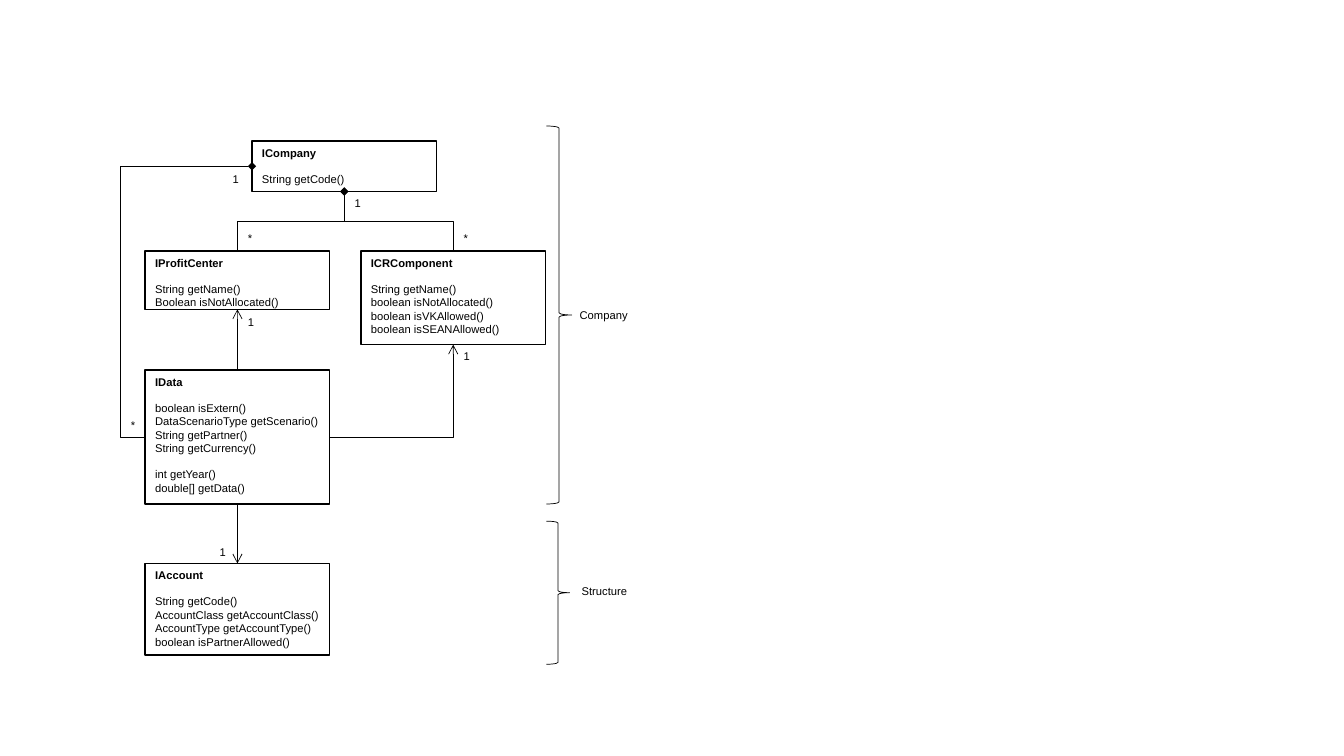
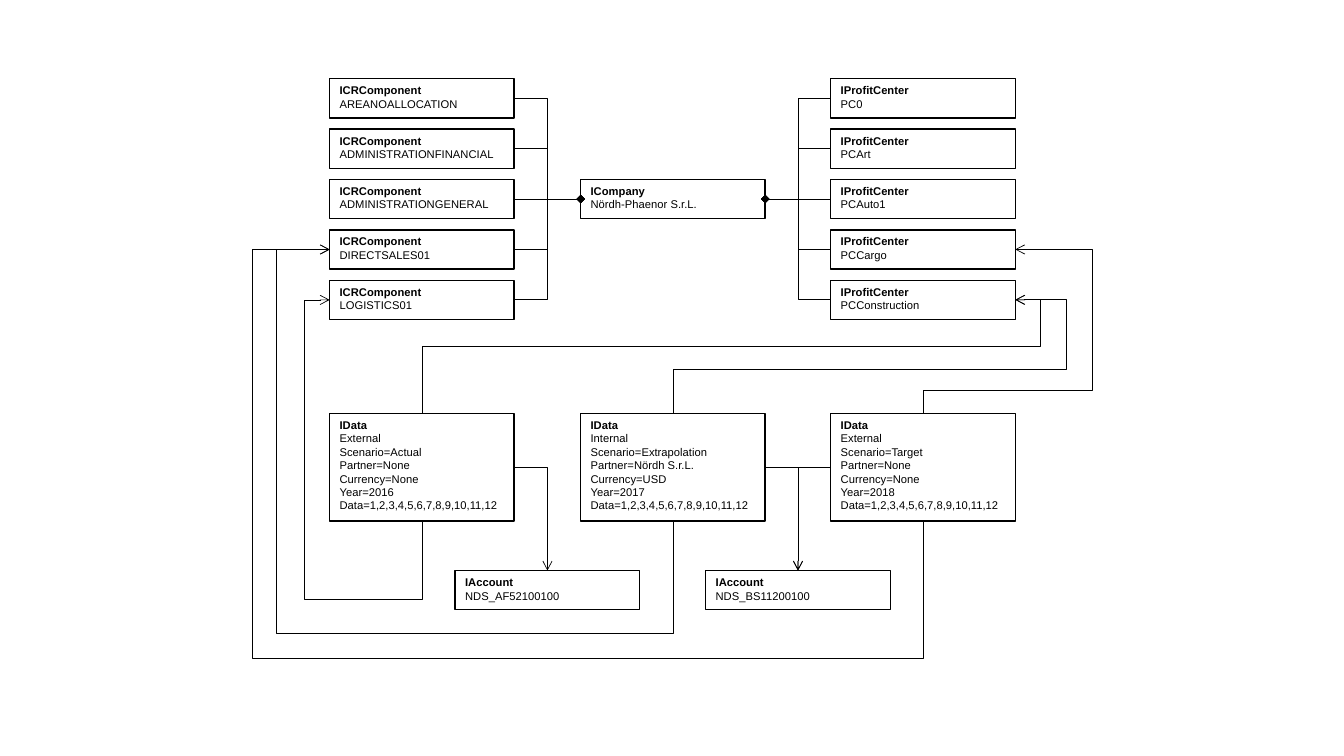
import pptx
import pptx.dml.color
import pptx.enum.shapes
import pptx.enum.text
import pptx.oxml.ns
import pptx.util
from lxml import etree

Inches, Pt = pptx.util.Inches, pptx.util.Pt
qn = pptx.oxml.ns.qn
SHAPE = pptx.enum.shapes.MSO_SHAPE
LINK = pptx.enum.shapes.MSO_CONNECTOR
INK, PAPER = "000000", "FFFFFF"
FONT = {"name": "Arial", "size": Pt(8)}
GAP = Pt(9.2)  # one line of text
WIDE = 1.83
TOP, LEFT, LOW, RIGHT = range(4)


def paint(fill, color):
    fill.solid()
    fill.fore_color.rgb = pptx.dml.color.RGBColor.from_string(color)


def stroke(line, width):
    paint(line.fill, INK)
    line.width = Pt(width)


def style(para, bold=False):
    para.alignment = pptx.enum.text.PP_ALIGN.LEFT
    for name, value in {**FONT, "bold": bold}.items():
        setattr(para.font, name, value)
    paint(para.font.fill, INK)


def box(slide, x, y, high, text):
    """Class box: bold first line; a blank line in text opens a gap."""
    shape = slide.shapes.add_shape(
        SHAPE.RECTANGLE, *map(Inches, (x, y, WIDE, high)))
    shape.shadow.inherit = False
    paint(shape.fill, PAPER)
    stroke(shape.line, 1)
    frame = shape.text_frame
    frame.word_wrap = True
    frame.vertical_anchor = pptx.enum.text.MSO_ANCHOR.TOP
    para = None
    for group in text.split("\n\n"):
        for row, line in enumerate(group.split("\n")):
            first = para is None
            para = frame.paragraphs[0] if first else frame.add_paragraph()
            para.text = line
            style(para, first)
            if row == 0 and not first:
                para.space_before = GAP
    return shape


def label(slide, x, y, wide, text):
    shape = slide.shapes.add_textbox(*map(Inches, (x, y, wide, 0.24)))
    frame = shape.text_frame
    frame.word_wrap = False
    frame.auto_size = pptx.enum.text.MSO_AUTO_SIZE.SHAPE_TO_FIT_TEXT
    frame.text = text
    style(frame.paragraphs[0])


def brace(slide, y, wide, high):
    shape = slide.shapes.add_shape(
        SHAPE.RIGHT_BRACE, *map(Inches, (5.42, y, wide, high)))
    shape.shadow.inherit = False
    shape.fill.background()
    stroke(shape.line, 0.5)


def bend(link, side, turns):
    """Shape an elbow; turns are the places, in turn, where it changes way."""
    x, y, end_x, end_y = link.begin_x, link.begin_y, link.end_x, link.end_y
    dx, dy = end_x - x, end_y - y
    spans = [(x, dx), (y, dy)]
    props = link.element.spPr
    if side in (TOP, LOW):
        spans.reverse()
        mid_x, mid_y = (x + end_x) / 2, (y + end_y) / 2
        link.begin_x, link.begin_y = mid_x - dy / 2, mid_y + dx / 2
        link.end_x, link.end_y = mid_x + dy / 2, mid_y - dx / 2
        props.find(qn("a:xfrm")).set("rot", str(90 * 60000))
    geom = props.find(qn("a:prstGeom"))
    geom.set("prst", f"bentConnector{len(turns) + 2}")
    for num, (turn, (start, span)) in enumerate(zip(turns, spans), 1):
        part = 0.5 if turn == "mid" else (Inches(turn) - start) / span
        etree.SubElement(geom.find(qn("a:avLst")), qn("a:gd"),
                         name=f"adj{num}", fmla=f"val {round(part * 100000)}")


def join(slide, src, side, dest, end, tip="arrow", turns=None):
    """Link two box sides: straight, or an elbow if turns are given."""
    kind = LINK.STRAIGHT if turns is None else LINK.ELBOW
    link = slide.shapes.add_connector(kind, 0, 0, 0, 0)
    link.begin_connect(src, side)
    link.end_connect(dest, end)
    if turns is not None:
        bend(link, side, turns)
    stroke(link.line, 0.5)
    props = link.element.spPr
    etree.SubElement(props.find(qn("a:ln")), qn("a:tailEnd"), type=tip)
    etree.SubElement(props, qn("a:effectLst"))


def model(slide):
    firm = box(slide, 2.5, 1.4, 0.5, "ICompany\n\nString getCode()")
    profit = box(slide, 1.44, 2.49, 0.58,
                 "IProfitCenter\n\nString getName()\nBoolean isNotAllocated()")
    comp = box(slide, 3.58, 2.49, 0.93,
               "ICRComponent\n\nString getName()\nboolean isNotAllocated()\n"
               "boolean isVKAllowed()\nboolean isSEANAllowed()")
    account = box(slide, 1.44, 5.59, 0.91,
                  "IAccount\n\nString getCode()\n"
                  "AccountClass getAccountClass()\n"
                  "AccountType getAccountType()\nboolean isPartnerAllowed()")
    data = box(slide, 1.44, 3.67, 1.33,
               "IData\n\nboolean isExtern()\nDataScenarioType getScenario()\n"
               "String getPartner()\nString getCurrency()\n\n"
               "int getYear()\ndouble[] getData()")
    for part in (profit, comp):
        join(slide, part, TOP, firm, LOW, "diamond", ["mid"])
    join(slide, data, LEFT, firm, LEFT, "diamond", [1.19])
    join(slide, data, RIGHT, comp, LOW, turns=[])
    join(slide, data, TOP, profit, LOW)
    join(slide, data, LOW, account, TOP)
    for x, y in ((2.21, 1.66), (3.42, 1.9), (2.36, 3.08), (2.08, 5.36),
                 (4.5, 3.42)):
        label(slide, x, y, 0.27, "1")
    for x, y in ((1.2, 4.1), (4.5, 2.25), (2.36, 2.25)):
        label(slide, x, y, 0.25, "*")
    brace(slide, 1.25, 0.25, 3.75)
    brace(slide, 5.17, 0.23, 1.42)
    label(slide, 5.65, 3.01, 0.68, "Company")
    label(slide, 5.67, 5.75, 0.66, "Structure")


def sample(slide):
    cols, low = (3.27, 5.76, 8.24), 0.39
    firm = box(slide, cols[1], 1.78, low, "ICompany\nNördh-Phaenor S.r.L.")

    def stack(x, kind, names, side, end):
        parts = []
        for row, name in enumerate(names):
            part = box(slide, x, 0.78 + 0.5 * row, low, f"{kind}\n{name}")
            join(slide, part, side, firm, end, "diamond",
                 None if row == 2 else ["mid"])
            parts.append(part)
        return parts

    comps = stack(cols[0], "ICRComponent",
                  ("AREANOALLOCATION", "ADMINISTRATIONFINANCIAL",
                   "ADMINISTRATIONGENERAL", "DIRECTSALES01", "LOGISTICS01"),
                  RIGHT, LEFT)
    profits = stack(cols[2], "IProfitCenter",
                    ("PC0", "PCArt", "PCAuto1", "PCCargo", "PCConstruction"),
                    LEFT, RIGHT)
    accounts = [box(slide, (a + b) / 2, 5.66, low, f"IAccount\n{code}")
                for a, b, code in zip(cols, cols[1:],
                                      ("NDS_AF52100100", "NDS_BS11200100"))]
    facts = (("External", "Actual", "None", "None", 2016),
             ("Internal", "Extrapolation", "Nördh S.r.L.", "USD", 2017),
             ("External", "Target", "None", "None", 2018))
    nums = ",".join(map(str, range(1, 13)))
    datas = [box(slide, x, 4.1, 1.07,
                 f"IData\n{scope}\nScenario={plan}\nPartner={mate}\n"
                 f"Currency={cash}\nYear={year}\nData={nums}")
             for x, (scope, plan, mate, cash, year) in zip(cols, facts)]
    routes = ((4, (3.44, 10.32), 4, (5.95, 3.02)),
              (4, (3.66, 10.58), 3, (6.28, 2.74)),
              (3, (3.87, 10.83), 3, (6.53, 2.5)))
    for data, (up, over, down, under) in zip(datas, routes):
        join(slide, data, TOP, profits[up], RIGHT, turns=over)
        join(slide, data, LOW, comps[down], LEFT, turns=under)
    for data, side, spot in zip(datas, (RIGHT, RIGHT, LEFT), (0, 1, 1)):
        join(slide, data, side, accounts[spot], TOP, turns=[])


def main():
    deck = pptx.Presentation()
    deck.slide_width, deck.slide_height = Inches(13.33), Inches(7.5)
    for draw in (model, sample):
        draw(deck.slides.add_slide(deck.slide_layouts[6]))
    deck.save("out.pptx")


if __name__ == "__main__":
    main()
